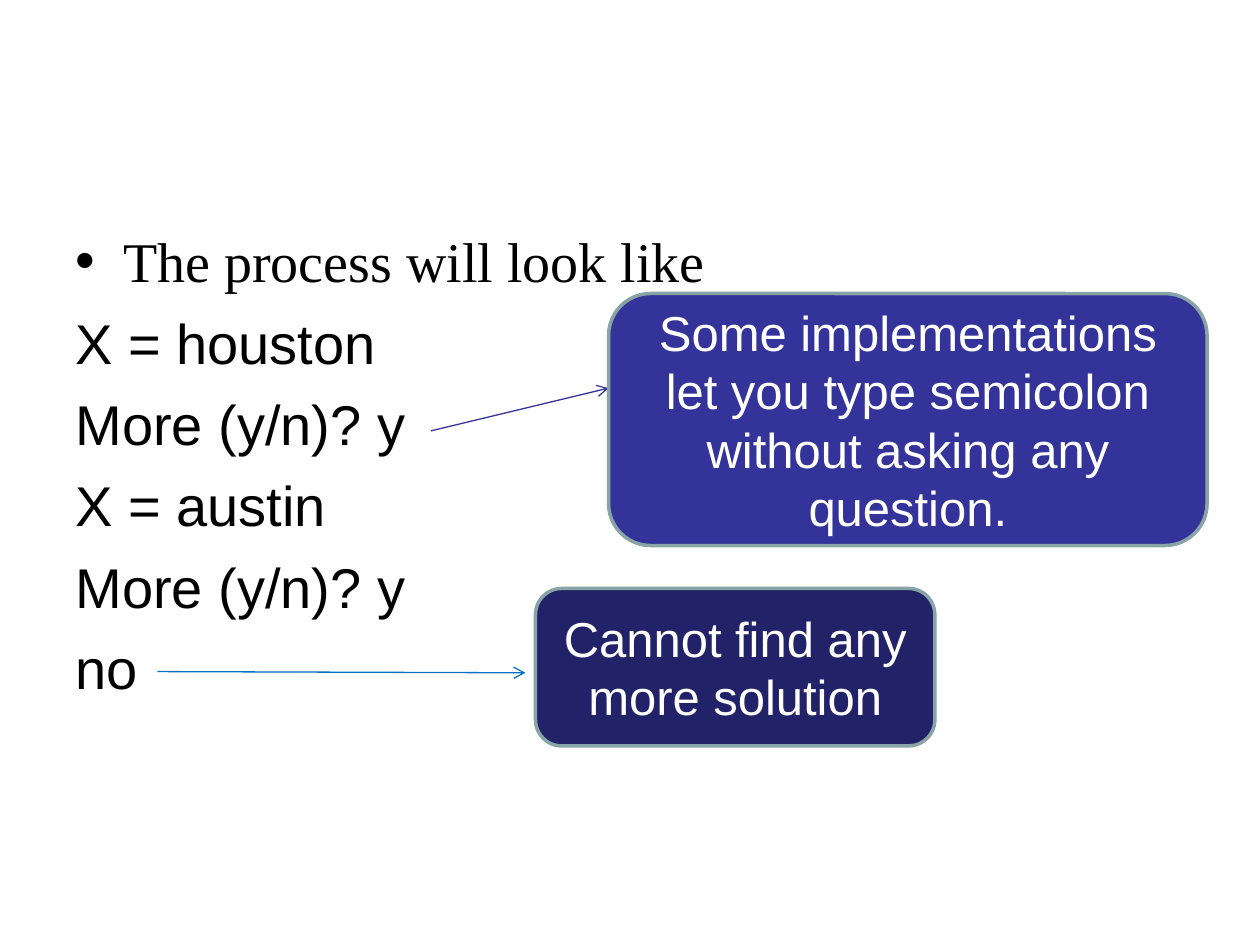
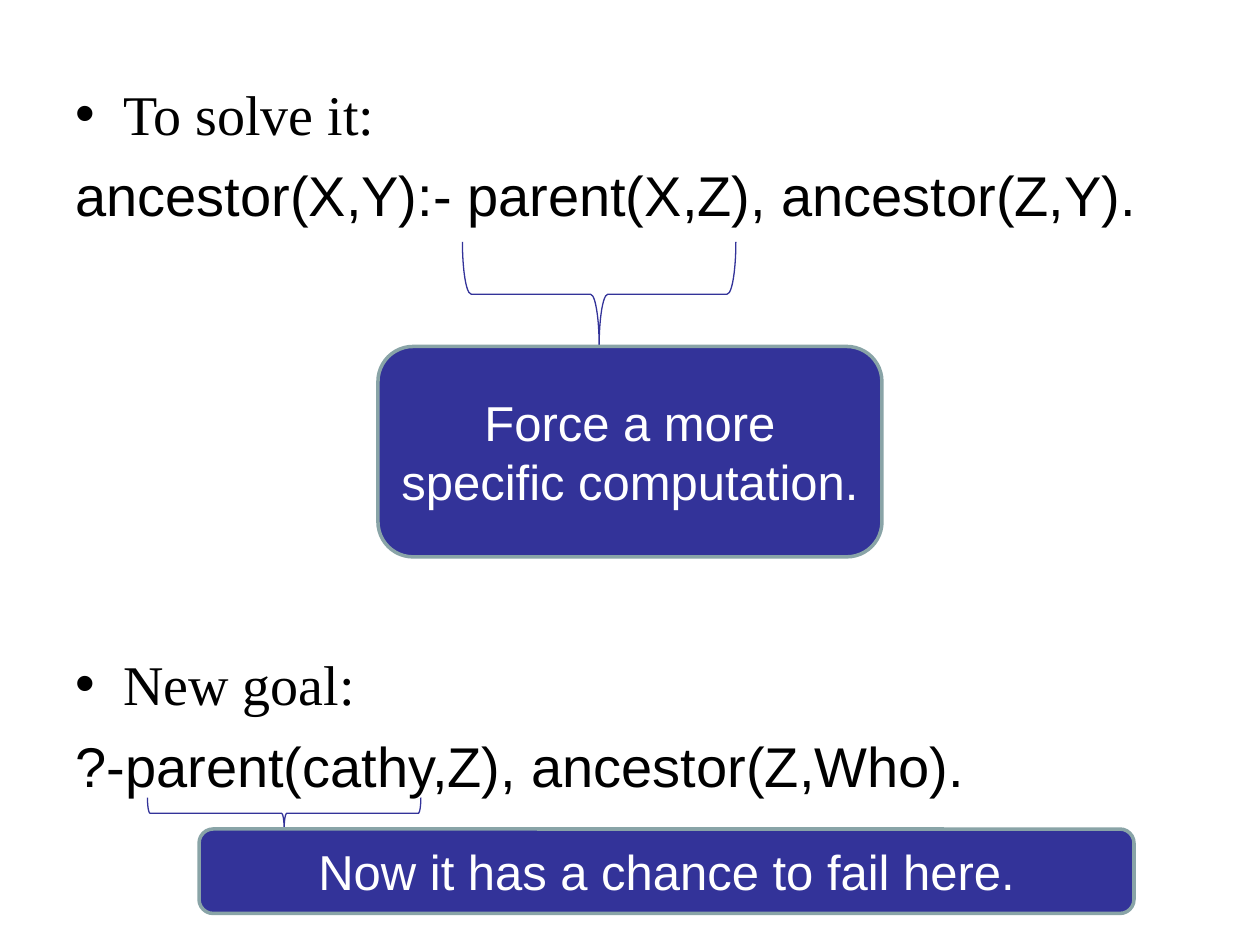
"""Build two slides on asking a logic program for more solutions."""
import lxml.etree
import pptx
import pptx.dml.color
import pptx.enum.shapes
import pptx.enum.text
import pptx.oxml.ns
import pptx.util

Inches, Pt = pptx.util.Inches, pptx.util.Pt
SHAPE = pptx.enum.shapes.MSO_SHAPE
qn = pptx.oxml.ns.qn

COLORS = {"text": "000000", "note_text": "FFFFFF", "note": "333399",
          "dark_note": "222268", "border": "89A4A7", "arrow": "0070C0"}
TOPIC = {"name": "Times New Roman", "size": Pt(32)}
CODE = {"name": "Arial", "size": Pt(32)}
NOTE = {"name": "Arial", "size": Pt(28)}
BODY_PARA = {"line_spacing": Pt(38.5), "space_before": Pt(8)}
NOTE_PARA = {"line_spacing": Pt(33.5), "alignment": pptx.enum.text.PP_ALIGN.CENTER}
FRAME = {"word_wrap": True, "margin_left": Inches(0.1), "margin_right": Inches(0.1),
         "margin_top": Inches(0.05), "margin_bottom": Inches(0.05)}


def rgb(name):
    """Return a named colour."""
    return pptx.dml.color.RGBColor.from_string(COLORS[name])


def apply(target, values):
    """Set every attribute in values on target."""
    for name, value in values.items():
        setattr(target, name, value)


def style_line(line, color, width):
    """Give a line its colour and its width in points."""
    line.color.rgb = rgb(color)
    line.width = Pt(width)


def write(p, text, font, color):
    """Add one formatted run to a paragraph."""
    r = p.add_run()
    r.text = text
    apply(r.font, font)
    r.font.color.rgb = rgb(color)


def add_bullet(p):
    """Put a hanging round bullet on a paragraph."""
    pPr = p._p.get_or_add_pPr()
    pPr.set("marL", str(Inches(0.38)))
    pPr.set("indent", str(-Inches(0.38)))
    lxml.etree.SubElement(pPr, qn("a:buFont"), typeface="Arial")
    lxml.etree.SubElement(pPr, qn("a:buChar"), char="•")


def add_body(s, top, height, sections, gap=8):
    """Add topics with their code lines, with gap points before later topics."""
    tf = s.shapes.add_textbox(Inches(0.5), Inches(top), Inches(9), Inches(height)).text_frame
    apply(tf, FRAME)
    for i, (topic, lines) in enumerate(sections):
        p = tf.add_paragraph() if i else tf.paragraphs[0]
        add_bullet(p)
        apply(p, {**BODY_PARA, "space_before": Pt(gap if i else 0)})
        write(p, topic, TOPIC, "text")
        for line in lines:
            p = tf.add_paragraph()
            apply(p, BODY_PARA)
            write(p, line, CODE, "text")


def add_note(s, box, text, fill="note"):
    """Add a rounded box with a centred remark."""
    sp = s.shapes.add_shape(SHAPE.ROUNDED_RECTANGLE, *map(Inches, box))
    sp.shadow.inherit = False
    sp.fill.solid()
    sp.fill.fore_color.rgb = rgb(fill)
    style_line(sp.line, "border", 2)
    tf = sp.text_frame
    apply(tf, {**FRAME, "vertical_anchor": pptx.enum.text.MSO_ANCHOR.MIDDLE})
    p = tf.paragraphs[0]
    apply(p, NOTE_PARA)
    write(p, text, NOTE, "note_text")


def add_arrow(s, start, end, color):
    """Add a thin arrow between two points."""
    points = map(Inches, (*start, *end))
    cx = s.shapes.add_connector(pptx.enum.shapes.MSO_CONNECTOR.STRAIGHT, *points)
    style_line(cx.line, color, 0.75)
    lxml.etree.SubElement(cx.line._get_or_add_ln(), qn("a:tailEnd"), type="arrow")
    lxml.etree.SubElement(cx._element.spPr, qn("a:effectLst"))


def add_brace(s, left, top, width, height):
    """Add a brace under a goal, pointing down."""
    x, y = left + (width - height) / 2, top + (height - width) / 2
    sp = s.shapes.add_shape(SHAPE.RIGHT_BRACE, *map(Inches, (x, y, height, width)))
    sp.rotation = 90
    sp.shadow.inherit = False
    sp.fill.background()
    style_line(sp.line, "note", 0.75)


def main():
    """Build and save the two slides."""
    prs = pptx.Presentation()
    apply(prs, {"slide_width": Inches(10), "slide_height": Inches(7.5)})
    blank = prs.slide_layouts[6]

    s = prs.slides.add_slide(blank)
    add_body(s, 1.75, 4.95, [("The process will look like", [
        "X = houston", "More (y/n)? y", "X = austin", "More (y/n)? y", "no"])])
    add_arrow(s, (1.25, 5.33), (4.17, 5.34), "arrow")
    add_note(s, (4.25, 4.67, 3.17, 1.25), "Cannot find any more solution", "dark_note")
    add_arrow(s, (3.42, 3.42), (4.83, 3.08), "note")
    add_note(s, (4.83, 2.33, 4.75, 2),
             "Some implementations let you type semicolon without asking any question.")

    s = prs.slides.add_slide(blank)
    add_body(s, 0.58, 6.12, [
        ("To solve it:", ["ancestor(X,Y):- parent(X,Z), ancestor(Z,Y)."]),
        ("New goal:", ["?-parent(cathy,Z), ancestor(Z,Who)."])], gap=241)
    add_brace(s, 3.67, 1.92, 2.17, 0.83)
    add_note(s, (3, 2.75, 4, 1.67), "Force a more specific computation.")
    add_brace(s, 1.17, 6.33, 2.17, 0.25)
    add_note(s, (1.58, 6.58, 7.42, 0.67), "Now it has a chance to fail here.")

    prs.save("out.pptx")


if __name__ == "__main__":
    main()
